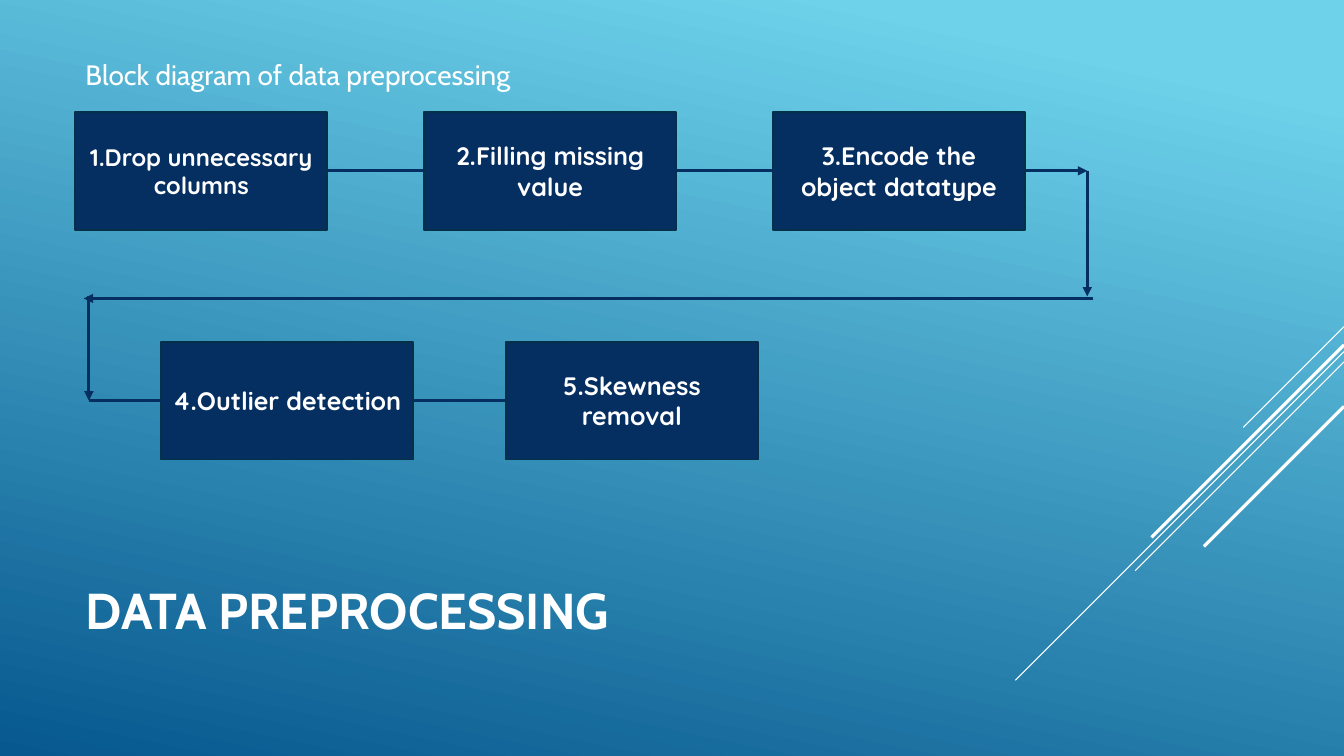
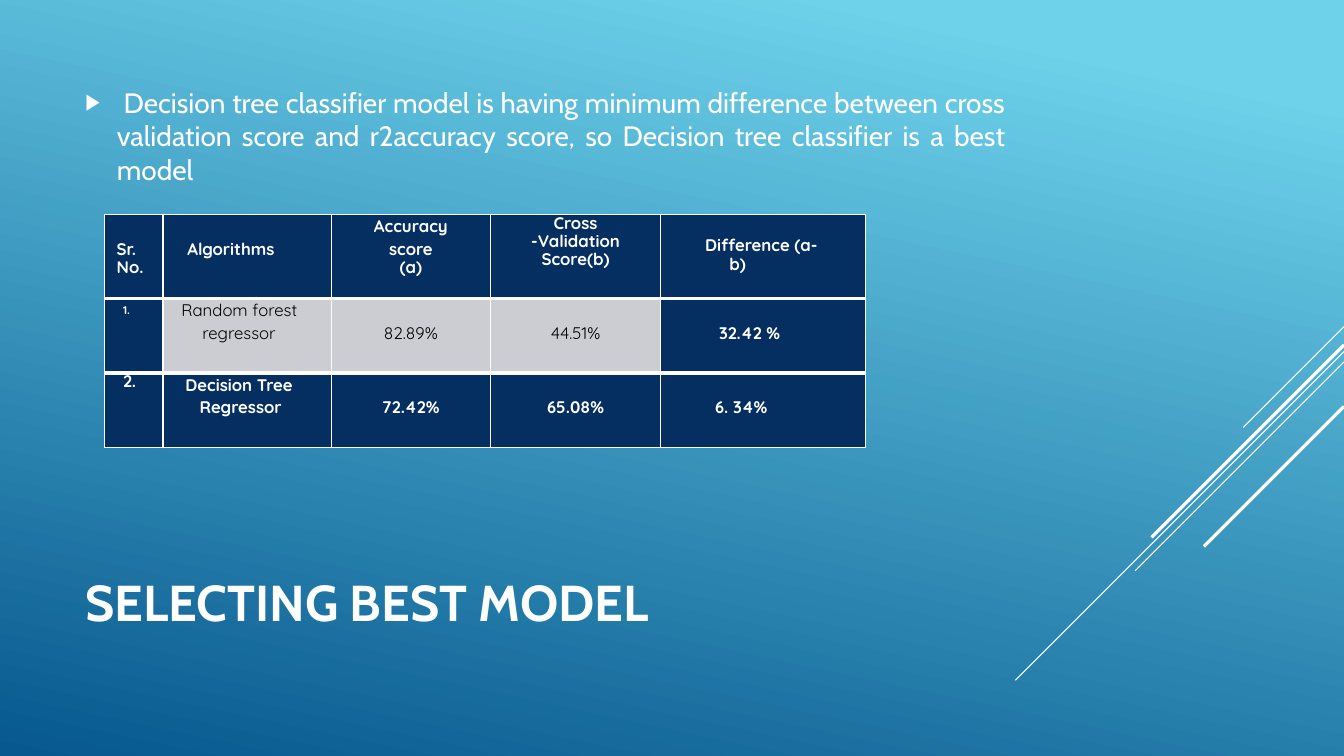
from itertools import pairwise

from lxml import etree
from pptx import Presentation
from pptx.dml.color import RGBColor
from pptx.enum.shapes import MSO_CONNECTOR as LINK, MSO_SHAPE as SHAPE
from pptx.enum.text import MSO_ANCHOR as ANCHOR, MSO_AUTO_SIZE as FIT, PP_ALIGN as ALIGN
from pptx.oxml.ns import qn
from pptx.util import Cm, Pt

WIDE, HIGH = 33.87, 19.05
EDGE = 1.9
WHITE, BLACK, GREY = "FFFFFF", "000000", "CCCDD2"
NAVY, RIM = "052F61", "043148"
SKY, DEEP = "6ED2EB", "06588E"
HEAD, TEXT = "Cabin", "Quicksand"

# Top and length in cm, width in points: diagonals from the right edge
RAYS = [(8.23, 2.54, 0.75), (8.86, 8.28, 0.75), (9.12, 5.26, 0.75),
        (8.69, 4.85, 2.25), (10.24, 3.53, 2.25)]


def rgb(code):
    return RGBColor.from_string(code)


def sub(parent, tag, **attrs):
    node = etree.SubElement(parent, qn(tag))
    for key, value in attrs.items():
        node.set(key, str(value))
    return node


def style(para, size, color=WHITE, font=HEAD, bold=False):
    for run in para.runs:
        run.font.name, run.font.size, run.font.bold = font, Pt(size), bold
        run.font.color.rgb = rgb(color)


def hang(para, depth):
    """Indent all lines but the first by depth; return the properties."""
    props = para._p.get_or_add_pPr()
    props.set("marL", str(Cm(depth)))
    props.set("indent", str(-Cm(depth)))
    return props


def place(shape, left, top, width, height):
    shape.left, shape.top = Cm(left), Cm(top)
    shape.width, shape.height = Cm(width), Cm(height)


def line(slide, start, end, color, width, arrow=False):
    link = slide.shapes.add_connector(LINK.STRAIGHT, *map(Cm, start + end))
    link.line.color.rgb = rgb(color)
    link.line.width = Pt(width)
    if arrow:
        sub(link.line._get_or_add_ln(), "a:tailEnd", type="triangle")
    sub(link._element.spPr, "a:effectLst")


def backdrop(deck):
    fill = deck.slide_master.background.fill
    fill.gradient()
    fill.gradient_angle = 258
    for stop, spot, color in zip(fill.gradient_stops, (0.1, 1), (SKY, DEEP)):
        stop.position = spot
        stop.color.rgb = rgb(color)


def fill_holder(holder, text, box, size, bold=False):
    place(holder, *box)
    frame = holder.text_frame
    frame.text = text
    frame.auto_size = FIT.NONE
    frame.vertical_anchor = ANCHOR.MIDDLE
    para = frame.paragraphs[0]
    para.alignment = ALIGN.LEFT
    para.space_before = Pt(0)
    style(para, size, bold=bold)
    return para


def new_slide(deck, title, title_box, body, body_box):
    """Add a slide with rays, title and body; return it and the body text."""
    slide = deck.slides.add_slide(deck.slide_layouts[1])
    for top, size, width in RAYS:
        line(slide, (WIDE, top), (WIDE - size, top + size), WHITE, width)
    fill_holder(slide.shapes.title, title, title_box, 36, True)
    return slide, fill_holder(slide.placeholders[1], body, body_box, 20)


def block(slide, text, left, top, width, height, size):
    box = slide.shapes.add_shape(SHAPE.RECTANGLE, *map(Cm, (left, top, width, height)))
    box.shadow.inherit = False
    box.fill.solid()
    box.fill.fore_color.rgb = rgb(NAVY)
    box.line.color.rgb = rgb(RIM)
    box.line.width = Pt(1.25)
    frame = box.text_frame
    frame.text = text
    frame.word_wrap = True
    frame.vertical_anchor = ANCHOR.MIDDLE
    frame.paragraphs[0].alignment = ALIGN.CENTER
    style(frame.paragraphs[0], size, font=TEXT, bold=True)


def chain(slide, steps, left, top, pitch):
    """Draw a row of linked blocks; return its right end and middle height."""
    width, height = 6.35, 2.97
    mid = top + height / 2
    spots = [left + pitch * i for i in range(len(steps))]
    for x, (text, size) in zip(spots, steps):
        block(slide, text, x, top, width, height, size)
    for x, after in pairwise(spots):
        line(slide, (x + width, mid), (after, mid), NAVY, 2.25)
    return spots[-1] + width, mid


def flow(slide, left, top):
    first = [("1.Drop unnecessary columns", 17), ("2.Filling missing value", 18),
             ("3.Encode the object datatype", 18)]
    second = [("4.Outlier detection", 18), ("5.Skewness removal", 18)]
    end, high = chain(slide, first, left, top, 8.79)
    start = left + 2.16
    _, low = chain(slide, second, start, top + 5.79, 8.69)
    turn, drop, lane = left + 25.5, left + 0.34, top + 4.7
    for a, b, arrow in [((end, high), (turn, high), True),
                        ((turn, high), (turn, lane - 0.05), True),
                        ((turn + 0.15, lane), (drop - 0.13, lane), True),
                        ((drop, lane - 0.05), (drop, low), True),
                        ((drop, low), (start, low), False)]:
        line(slide, a, b, NAVY, 2.25, arrow)


def border(cell, widths):
    """Set white borders, widths in points: left, right, top, bottom."""
    props = cell._tc.get_or_add_tcPr()
    for i, (side, width) in enumerate(zip("LRTB", widths)):
        edge = sub(props, f"a:ln{side}", w=Pt(width))
        sub(sub(edge, "a:solidFill"), "a:srgbClr", val=WHITE)
        props.insert(i, edge)


def write(cell, text, left, right=0, top=0, align=ALIGN.LEFT, lead=1.07,
          depth=0, size=12, plain=False):
    cell.margin_left, cell.margin_right = Cm(left), Cm(right)
    cell.margin_top, cell.margin_bottom = Pt(top), 0
    cell.fill.solid()
    cell.fill.fore_color.rgb = rgb(GREY if plain else NAVY)
    frame = cell.text_frame
    frame.text = text
    for i, para in enumerate(frame.paragraphs):
        para.alignment = align
        para.line_spacing = Pt(13) if i else lead
        hang(para, depth)
        style(para, size, BLACK if plain else WHITE, TEXT, not plain)


def scores(slide, left, top):
    widths, heights = [1.47, 4.24, 4.01, 4.29, 5.16], [2.11, 1.88, 1.88]
    tight, drop = Pt(13.5), 16
    third = dict(left=0.76, right=0.76, align=ALIGN.CENTER)
    fourth = dict(left=0.66, right=0.66, align=ALIGN.CENTER)
    rows = [
        [dict(text="Sr.\nNo.", left=0.3, top=drop),
         dict(text="Algorithms", left=0.61, top=drop),
         dict(text="Accuracy score\n(a)", **third),
         dict(text="Cross\n-Validation Score(b)", lead=tight, **fourth),
         dict(text="Difference (a-b)", left=1.12, right=1, top=drop,
              lead=tight, depth=0.61)],
        [dict(text="1.", left=0.46, lead=tight, size=8),
         dict(text="Random forest regressor", left=0.46, depth=0.53, plain=True),
         dict(text="82.89%", top=drop, plain=True, **third),
         dict(text="44.51%", top=drop, plain=True, **fourth),
         dict(text="32.42 %", left=1.47, top=drop)],
        [dict(text="2.", left=0.46, lead=tight),
         dict(text="Decision Tree Regressor", left=0.56, depth=0.36),
         dict(text="72.42%", top=drop, **third),
         dict(text="65.08%", top=drop, **fourth),
         dict(text="6. 34%", left=1.37, top=drop)],
    ]
    box = map(Cm, (left, top, sum(widths), sum(heights)))
    table = slide.shapes.add_table(len(rows), len(widths), *box).table
    table.first_row = table.horz_banding = False
    for column, width in zip(table.columns, widths):
        column.width = Cm(width)
    last = len(rows) - 1
    for r, (height, row) in enumerate(zip(heights, rows)):
        table.rows[r].height = Cm(height)
        for c, entry in enumerate(row):
            cell = table.cell(r, c)
            write(cell, **entry)
            border(cell, (1, 1, 3 if r else 1, 3 if r < last else 1))


def steps_slide(deck):
    slide, body = new_slide(
        deck, "DATA PREPROCESSING", (EDGE, 14.07, 25.27, 2.57),
        "Block diagram of data preprocessing", (EDGE, 1.24, 25.86, 1.27))
    sub(hang(body, 0), "a:buNone")
    flow(slide, EDGE, 2.82)


def model_slide(deck):
    slide, body = new_slide(
        deck, "SELECTING BEST MODEL", (EDGE, 13.64, 23.7, 3.02),
        " Decision tree classifier model is having minimum difference between "
        "cross validation score and r2accuracy score, so Decision tree "
        "classifier is a best model", (EDGE, 1.92, 23.7, 3))
    body.alignment = ALIGN.JUSTIFY
    props = hang(body, 0.79)
    sub(sub(props, "a:buClr"), "a:srgbClr", val=WHITE)
    sub(props, "a:buSzPct", val=80000)
    sub(props, "a:buChar", char="▶")
    scores(slide, 2.64, 5.41)


def main():
    deck = Presentation()
    deck.slide_width, deck.slide_height = Cm(WIDE), Cm(HIGH)
    backdrop(deck)
    steps_slide(deck)
    model_slide(deck)
    deck.save("out.pptx")


if __name__ == "__main__":
    main()
